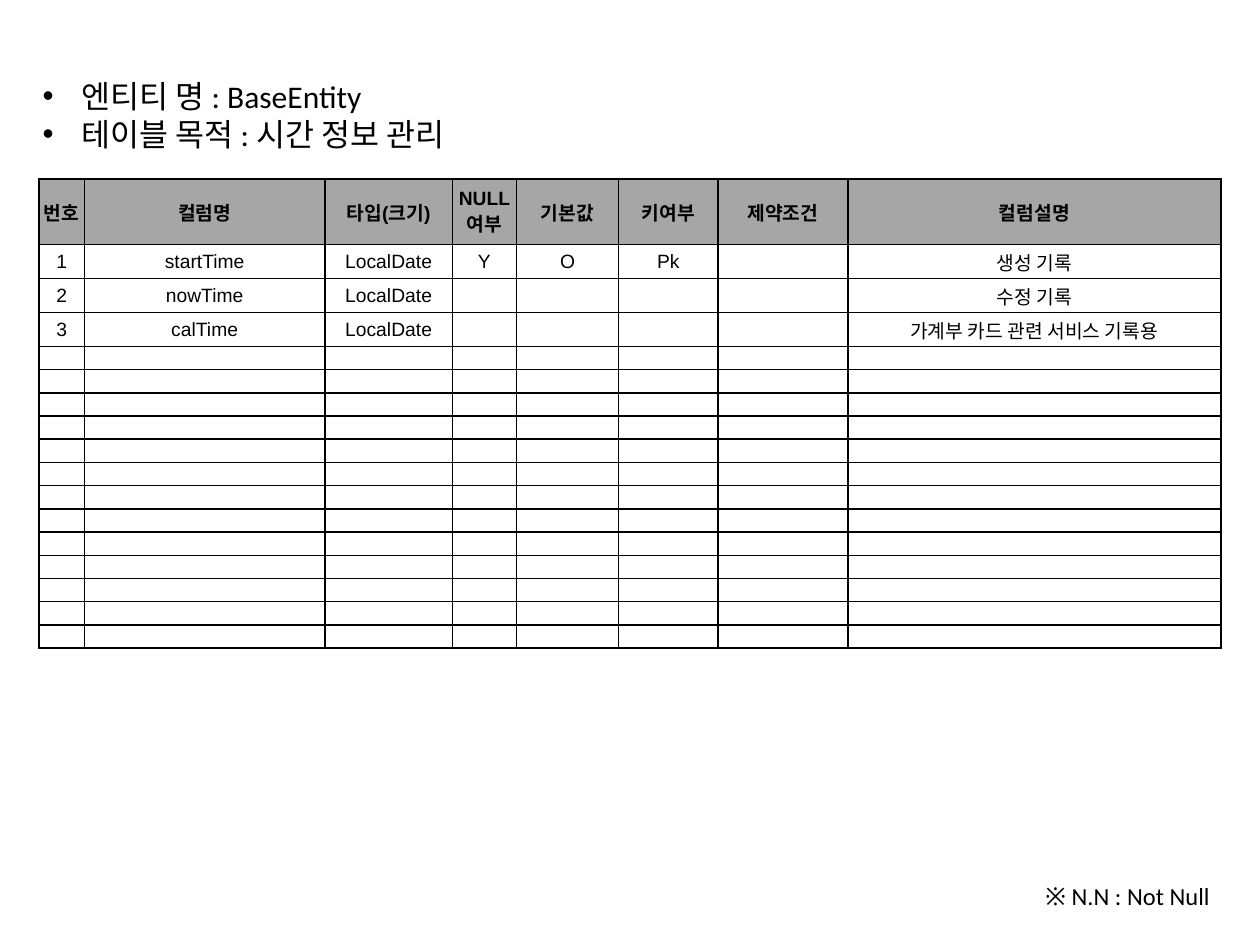
from dataclasses import dataclass

from lxml.etree import SubElement
from pptx import Presentation
from pptx.dml.color import RGBColor
from pptx.enum.text import MSO_ANCHOR as Anchor, MSO_AUTO_SIZE as AutoSize, PP_ALIGN as Align
from pptx.oxml.ns import qn
from pptx.util import Inches, Pt


@dataclass(frozen=True)
class Theme:
    """Colours, fonts and type sizes of the slide."""
    ink: str = "000000"
    header_fill: str = "A6A6A6"
    text_font: str = "Calibri"
    table_font: str = "Arial"
    heading_size: int = 18
    note_size: int = 14
    table_size: int = 11
    empty_size: int = 8
    border: float = 1


THEME = Theme()
HEADING = ["엔티티 명 : BaseEntity", "테이블 목적 : 시간 정보 관리"]
HEADERS = ["번호", "컬럼명", "타입(크기)", "NULL 여부", "기본값", "키여부", "제약조건", "컬럼설명"]
ENTITY_COLUMNS = [
    ["1", "startTime", "LocalDate", "Y", "O", "Pk", "", "생성 기록"],
    ["2", "nowTime", "LocalDate", "", "", "", "", "수정 기록"],
    ["3", "calTime", "LocalDate", "", "", "", "", "가계부 카드 관련 서비스 기록용"],
]
EMPTY_ROWS = 13
TABLE_HEIGHT = 3.73
COLUMN_WIDTHS = [0.36, 1.91, 1.01, 0.51, 0.81, 0.79, 1.03, 2.96]
FILLED_HEIGHTS = [0.52] + [0.27] * len(ENTITY_COLUMNS)
EMPTY_HEIGHT = (TABLE_HEIGHT - sum(FILLED_HEIGHTS)) / EMPTY_ROWS
ROW_HEIGHTS = FILLED_HEIGHTS + [EMPTY_HEIGHT] * EMPTY_ROWS


def style_paragraph(paragraph, font_name, size, bold=False, align=Align.LEFT):
    """Set the font and alignment of a paragraph."""
    paragraph.alignment = align
    font = paragraph.font
    font.name, font.size, font.bold = font_name, Pt(size), bold
    font.color.rgb = RGBColor.from_string(THEME.ink)


def add_bullet(paragraph, indent):
    """Give a paragraph a round bullet with a hanging indent."""
    properties = paragraph._p.get_or_add_pPr()
    properties.set("marL", str(indent))
    properties.set("indent", str(-indent))
    font = properties.makeelement(qn("a:buFont"), {"typeface": "Arial"})
    bullet = properties.makeelement(qn("a:buChar"), {"char": "•"})
    properties.insert(0, font)
    properties.insert(1, bullet)


def add_text(slide, box, lines, size, align=Align.LEFT, bulleted=False):
    """Add a text box with one paragraph for each line."""
    frame = slide.shapes.add_textbox(*map(Inches, box)).text_frame
    frame.word_wrap = True
    frame.auto_size = AutoSize.SHAPE_TO_FIT_TEXT
    frame.text = "\n".join(lines)
    for paragraph in frame.paragraphs:
        style_paragraph(paragraph, THEME.text_font, size, align=align)
        if bulleted:
            add_bullet(paragraph, Inches(0.31))


def add_borders(cell):
    """Draw a solid line on the four sides of a cell."""
    properties = cell._tc.get_or_add_tcPr()
    for side in ("a:lnL", "a:lnR", "a:lnT", "a:lnB"):
        line = SubElement(properties, qn(side), w=str(Pt(THEME.border)))
        fill = SubElement(line, qn("a:solidFill"))
        SubElement(fill, qn("a:srgbClr"), val=THEME.ink)


def format_cell(cell, text, is_header):
    """Fill in one table cell and set its look."""
    cell.margin_left = cell.margin_right = cell.margin_top = Inches(0.01)
    cell.margin_bottom = 0
    cell.vertical_anchor = Anchor.MIDDLE
    cell.text = text
    size = THEME.table_size if text else THEME.empty_size
    style_paragraph(cell.text_frame.paragraphs[0], THEME.table_font, size, is_header, Align.CENTER)
    add_borders(cell)
    if is_header:
        cell.fill.solid()
        cell.fill.fore_color.rgb = RGBColor.from_string(THEME.header_fill)
    else:
        cell.fill.background()


def add_entity_table(slide, left, top):
    """Add the table that lists the columns of the entity."""
    rows = [HEADERS, *ENTITY_COLUMNS] + [[""] * len(HEADERS)] * EMPTY_ROWS
    size = Inches(sum(COLUMN_WIDTHS)), Inches(TABLE_HEIGHT)
    table = slide.shapes.add_table(len(rows), len(HEADERS), Inches(left), Inches(top), *size).table
    table.first_row = table.horz_banding = False
    for column, width in zip(table.columns, COLUMN_WIDTHS):
        column.width = Inches(width)
    for row_index, (row, height, texts) in enumerate(zip(table.rows, ROW_HEIGHTS, rows)):
        row.height = Inches(height)
        for cell, text in zip(row.cells, texts):
            format_cell(cell, text, row_index == 0)


def main():
    """Build the entity definition slide and save it."""
    presentation = Presentation()
    presentation.slide_width, presentation.slide_height = Inches(10), Inches(7.5)
    slide = presentation.slides.add_slide(presentation.slide_layouts[6])
    add_text(slide, (0.24, 0.56, 9.49, 0.71), HEADING, THEME.heading_size, bulleted=True)
    add_entity_table(slide, 0.31, 1.42)
    add_text(slide, (8.15, 6.94, 1.55, 0.34), ["※ N.N : Not Null"], THEME.note_size, Align.RIGHT)
    presentation.save("out.pptx")


if __name__ == "__main__":
    main()
